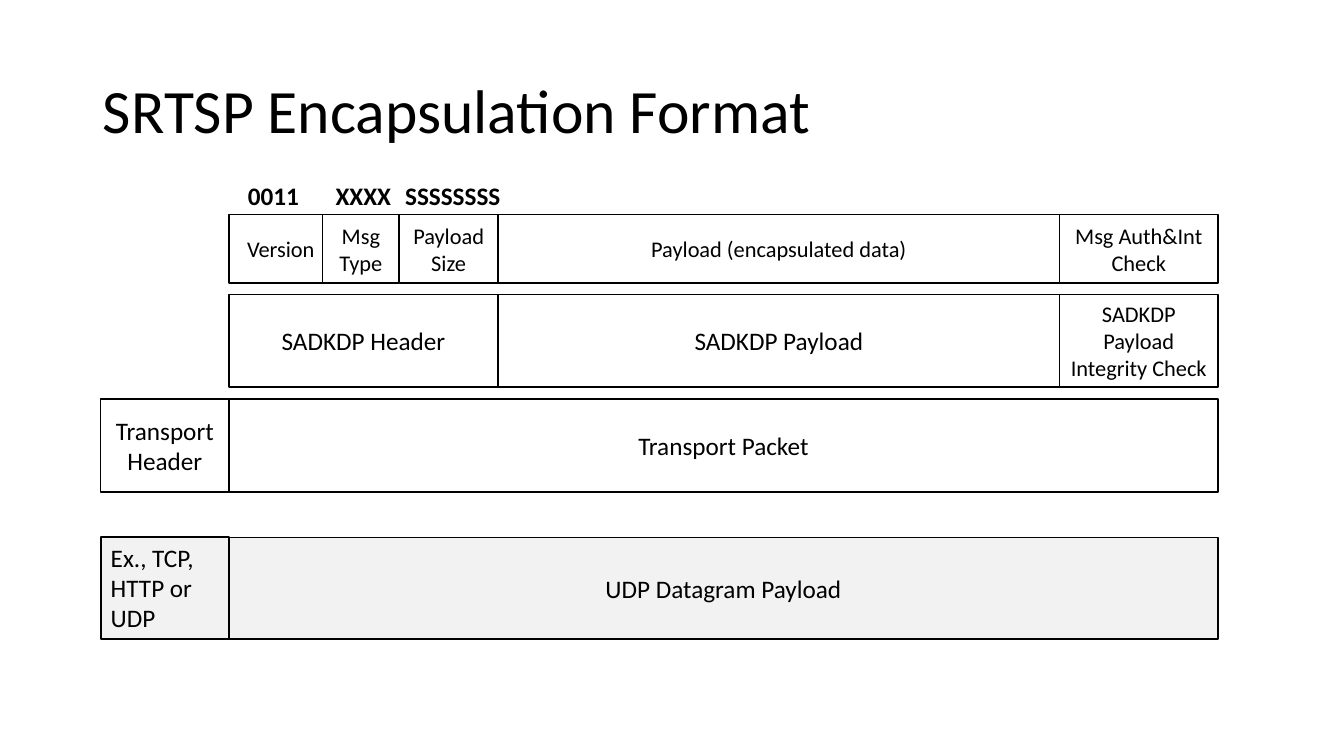
from dataclasses import dataclass

from pptx import Presentation
from pptx.dml.color import RGBColor
from pptx.enum.shapes import MSO_SHAPE
from pptx.enum.text import MSO_ANCHOR, PP_ALIGN
from pptx.util import Inches, Pt

RECTANGLE = MSO_SHAPE.RECTANGLE
MIDDLE, TOP = MSO_ANCHOR.MIDDLE, MSO_ANCHOR.TOP
LEFT, CENTER = PP_ALIGN.LEFT, PP_ALIGN.CENTER
TITLE_ONLY = 5


@dataclass(frozen=True)
class Theme:
    """Colours, font and type sizes of the slide."""
    ink: RGBColor = RGBColor(0, 0, 0)
    paper: RGBColor = RGBColor(255, 255, 255)
    shade: RGBColor = RGBColor(0xF2, 0xF2, 0xF2)
    font: str = "Calibri"
    title: int = 44
    body: int = 18
    small: int = 16
    thin: float = 1
    thick: float = 1.75


THEME = Theme()

# Column edges: transport header, version, type, size, payload, check, end
EDGES = (1.0, 2.27, 3.2, 3.96, 4.94, 10.51, 12.08)
# Row name: (top, height)
ROWS = {"message": (2.13, 0.68), "sadkdp": (2.92, 0.92),
        "transport": (3.96, 0.92), "datagram": (5.33, 1.01)}

# Row, first edge, last edge, wording, type size
FIELDS = (
    ("sadkdp", 1, 4, "SADKDP Header", THEME.body),
    ("sadkdp", 4, 5, "SADKDP Payload", THEME.body),
    ("sadkdp", 5, 6, "SADKDP\nPayload\nIntegrity Check", THEME.small),
    ("message", 2, 3, "Msg Type", THEME.small),
    ("message", 3, 4, "Payload\nSize", THEME.small),
    ("message", 4, 5, "Payload (encapsulated data)", THEME.small),
    ("message", 5, 6, "Msg Auth&Int Check", THEME.small),
    ("transport", 0, 1, "Transport Header", THEME.body),
    ("transport", 1, 6, "Transport Packet", THEME.body),
)
VERSION_OVERLAP = 0.1

# Bit pattern, edge it starts at, offset from that edge, width
BIT_PATTERNS = (("0011", 1, 0.09, 0.71), ("XXXX", 2, 0.03, 0.76),
                ("SSSSSSSS", 3, -0.04, 1.16))
BITS_TOP, BITS_HEIGHT = 1.74, 0.4


def write(frame, wording, size, align=LEFT, anchor=MIDDLE, bold=False):
    """Fill a text frame and format all its runs."""
    frame.text = wording
    frame.vertical_anchor = anchor
    for paragraph in frame.paragraphs:
        paragraph.alignment = align
        for run in paragraph.runs:
            run.font.name = THEME.font
            run.font.size = Pt(size)
            run.font.bold = bold
            run.font.color.rgb = THEME.ink


def add_title(slide, wording):
    """Place the title placeholder across the slide."""
    title = slide.shapes.title
    title.left, title.top = Inches(0.92), Inches(0.4)
    title.width, title.height = Inches(11.5), Inches(1.45)
    write(title.text_frame, wording, THEME.title)
    title.text_frame.paragraphs[0].line_spacing = 0.9


def add_field(slide, row, first, last, wording, size, fill=THEME.paper,
              line=THEME.thin, align=CENTER, anchor=MIDDLE, overlap=0):
    """Draw one packet field between two column edges."""
    top, height = ROWS[row]
    width = EDGES[last] - EDGES[first] + overlap
    field = slide.shapes.add_shape(
        RECTANGLE, Inches(EDGES[first]), Inches(top), Inches(width), Inches(height))
    field.shadow.inherit = False
    field.fill.solid()
    field.fill.fore_color.rgb = fill
    field.line.color.rgb = THEME.ink
    field.line.width = Pt(line)
    field.text_frame.word_wrap = True
    write(field.text_frame, wording, size, align, anchor)


def add_bits(slide, pattern, edge, offset, width):
    """Write a bit pattern above its field."""
    bits = slide.shapes.add_textbox(
        Inches(EDGES[edge] + offset), Inches(BITS_TOP), Inches(width), Inches(BITS_HEIGHT))
    bits.text_frame.word_wrap = False
    write(bits.text_frame, pattern, THEME.body, anchor=TOP, bold=True)


def main():
    """Build and save the encapsulation slide."""
    deck = Presentation()
    deck.slide_width, deck.slide_height = Inches(13.33), Inches(7.5)
    slide = deck.slides.add_slide(deck.slide_layouts[TITLE_ONLY])
    add_title(slide, "SRTSP Encapsulation Format")
    add_field(slide, "message", 1, 2, "Version", THEME.small, overlap=VERSION_OVERLAP)
    for field in FIELDS:
        add_field(slide, *field)
    add_field(slide, "datagram", 0, 1, "Ex., TCP,\nHTTP or\nUDP", THEME.body,
              fill=THEME.shade, line=THEME.thick, align=LEFT, anchor=TOP)
    add_field(slide, "datagram", 1, 6, "UDP Datagram Payload", THEME.body, fill=THEME.shade)
    for bits in BIT_PATTERNS:
        add_bits(slide, *bits)
    deck.save("out.pptx")


main()
